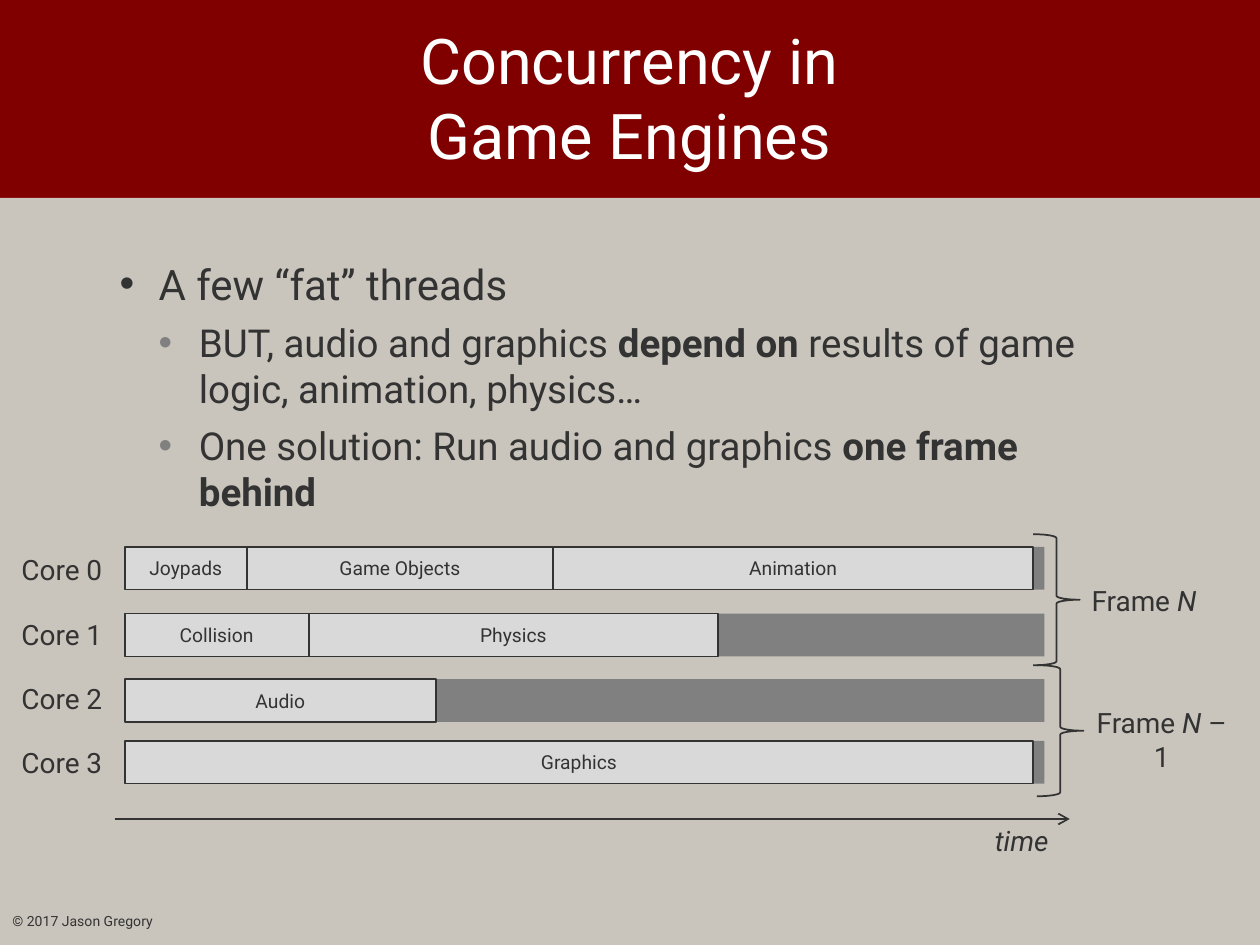
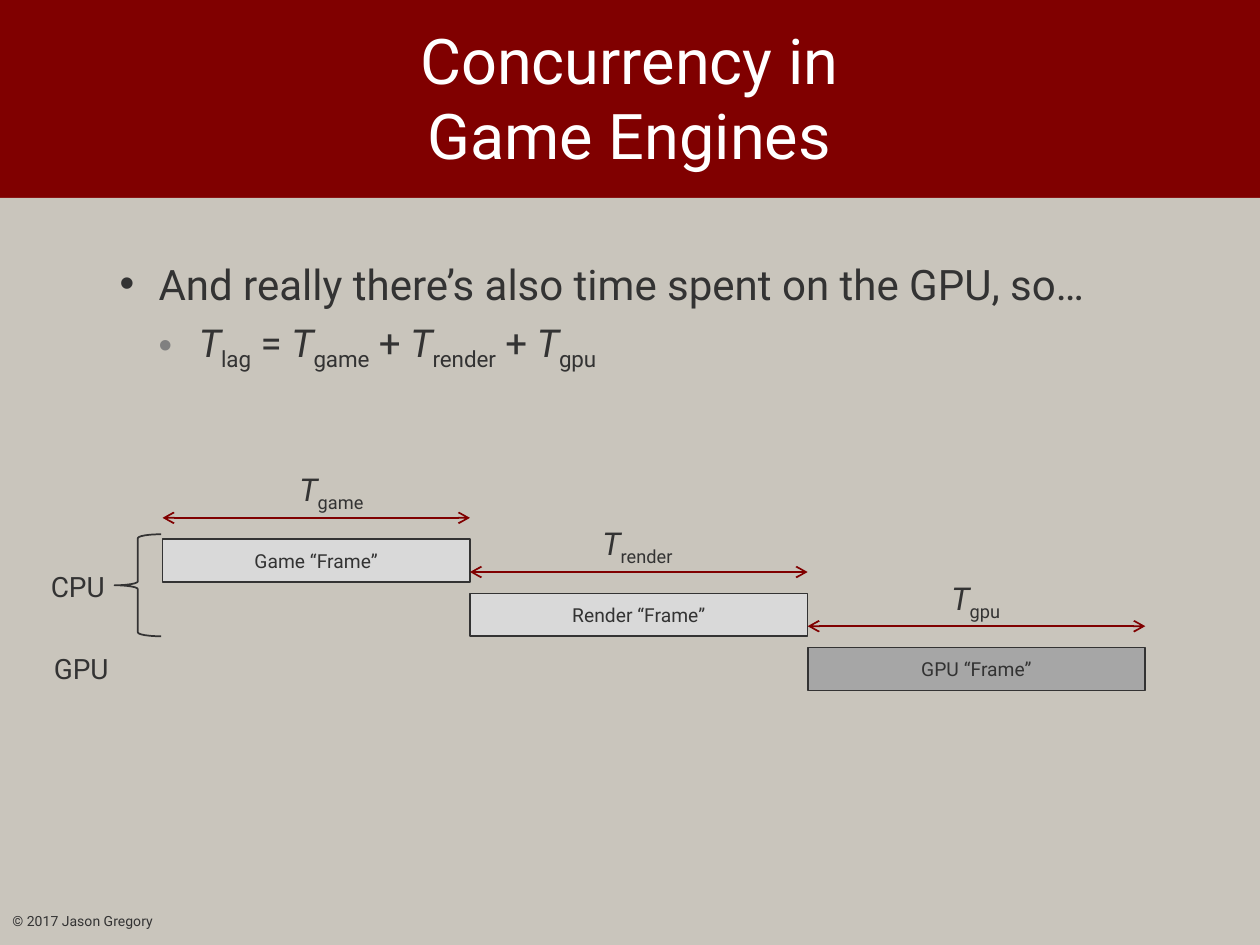
from dataclasses import dataclass
from typing import NamedTuple

from lxml import etree
from pptx import Presentation
from pptx.dml.color import RGBColor
from pptx.enum import shapes, text
from pptx.oxml import ns
from pptx.util import Inches, Pt

MAROON = RGBColor(0x80, 0x00, 0x00)
STONE = RGBColor(0xC9, 0xC5, 0xBC)
INK = RGBColor(0x33, 0x33, 0x33)
WHITE = RGBColor(0xFF, 0xFF, 0xFF)
IDLE_GREY = RGBColor(0x80, 0x80, 0x80)
TASK_GREY = RGBColor(0xD9, 0xD9, 0xD9)
GPU_GREY = RGBColor(0xA6, 0xA6, 0xA6)
FONT = "Roboto"
LEFT, CENTER, RIGHT = text.PP_ALIGN.LEFT, text.PP_ALIGN.CENTER, text.PP_ALIGN.RIGHT
TOP, MIDDLE = text.MSO_ANCHOR.TOP, text.MSO_ANCHOR.MIDDLE
RECTANGLE = shapes.MSO_SHAPE.RECTANGLE
RIGHT_BRACE = shapes.MSO_SHAPE.RIGHT_BRACE
BAR_HEIGHT = 0.34


class Span(NamedTuple):
    words: str
    bold: bool = False
    italic: bool = False
    subscript: bool = False


class Area(NamedTuple):
    left: float
    top: float
    width: float
    height: float


@dataclass(frozen=True)
class Level:
    size: int
    indent: float
    hang: float
    before: int
    bullet: RGBColor


@dataclass(frozen=True)
class Core:
    top: float
    tasks: list[tuple[str, float]]


@dataclass(frozen=True)
class Stage:
    name: str
    width: float
    symbol: str
    symbol_area: Area
    fill: RGBColor


LEVELS = [
    Level(24, 0.31, 0.31, 0, INK),
    Level(22, 0.63, 0.32, 6, IDLE_GREY),
]


def variable(subscript: str) -> list[Span]:
    return [Span("T", italic=True), Span(subscript, subscript=True)]


def style(paragraph, size: int, color: RGBColor) -> None:
    font = paragraph.font
    font.name, font.size = FONT, Pt(size)
    font.color.rgb = color


def add_spans(paragraph, spans: list[Span]) -> None:
    for span in spans:
        for index, line in enumerate(span.words.split("\n")):
            if index:
                paragraph.add_line_break()
            run = paragraph.add_run()
            run.text = line
            if span.bold:
                run.font.bold = True
            if span.italic:
                run.font.italic = True
            if span.subscript:
                run.font._element.set("baseline", "-25000")


def add_text(page, area: Area, spans: list[Span], size: int, align=CENTER,
             anchor=TOP, color: RGBColor = INK, wrap: bool = False) -> None:
    box = page.shapes.add_textbox(*map(Inches, area))
    frame = box.text_frame
    frame.word_wrap = wrap
    frame.vertical_anchor = anchor
    paragraph = frame.paragraphs[0]
    paragraph.alignment = align
    style(paragraph, size, color)
    add_spans(paragraph, spans)


def add_bullet(paragraph, level: Level) -> None:
    properties = paragraph._p.get_or_add_pPr()
    properties.set("marL", str(Inches(level.indent)))
    properties.set("indent", str(-Inches(level.hang)))
    color = etree.SubElement(properties, ns.qn("a:buClr"))
    etree.SubElement(color, ns.qn("a:srgbClr"), val=str(level.bullet))
    etree.SubElement(properties, ns.qn("a:buFont"), typeface="Arial")
    etree.SubElement(properties, ns.qn("a:buChar"), char="•")


def add_body(page, items: list[tuple[int, list[Span]]]) -> None:
    box = page.shapes.add_textbox(*map(Inches, (0.85, 2, 8.29, 4.7)))
    frame = box.text_frame
    frame.word_wrap = True
    for index, (depth, spans) in enumerate(items):
        paragraph = frame.add_paragraph() if index else frame.paragraphs[0]
        level = LEVELS[depth]
        paragraph.level = depth
        add_bullet(paragraph, level)
        if level.before:
            paragraph.space_before = Pt(level.before)
        style(paragraph, level.size, INK)
        add_spans(paragraph, spans)


def add_block(page, area: Area, fill: RGBColor, label: str = "") -> None:
    block = page.shapes.add_shape(RECTANGLE, *map(Inches, area))
    block.shadow.inherit = False
    block.fill.solid()
    block.fill.fore_color.rgb = fill
    if not label:
        block.line.fill.background()
        return
    block.line.color.rgb = INK
    block.line.width = Pt(1)
    frame = block.text_frame
    frame.vertical_anchor = MIDDLE
    paragraph = frame.paragraphs[0]
    paragraph.alignment = CENTER
    style(paragraph, 11, INK)
    add_spans(paragraph, [Span(label)])


def add_brace(page, area: Area, flipped: bool = False) -> None:
    brace = page.shapes.add_shape(RIGHT_BRACE, *map(Inches, area))
    brace.shadow.inherit = False
    brace.fill.background()
    brace.line.color.rgb = INK
    brace.line.width = Pt(1)
    if flipped:
        brace._element.spPr.xfrm.set("flipH", "1")


def add_arrow(page, left: float, right: float, top: float, color: RGBColor,
              both_ends: bool = False) -> None:
    arrow = page.shapes.add_connector(
        shapes.MSO_CONNECTOR.STRAIGHT,
        Inches(left), Inches(top), Inches(right), Inches(top))
    arrow.line.color.rgb = color
    arrow.line.width = Pt(1)
    outline = arrow.line._get_or_add_ln()
    for end in ("a:headEnd", "a:tailEnd") if both_ends else ("a:tailEnd",):
        etree.SubElement(outline, ns.qn(end), type="arrow")
    etree.SubElement(arrow._element.spPr, ns.qn("a:effectLst"))


def add_page(deck):
    page = deck.slides.add_slide(deck.slide_layouts[6])
    page.background.fill.solid()
    page.background.fill.fore_color.rgb = MAROON
    add_block(page, Area(0, 1.57, 10, 5.93), STONE)
    add_text(page, Area(0.85, 0.07, 8.29, 1.4), [Span("Concurrency in\nGame Engines")],
             36, anchor=MIDDLE, color=WHITE, wrap=True)
    add_text(page, Area(0, 7.11, 3.17, 0.39), [Span("© 2017 Jason Gregory")],
             8, LEFT, MIDDLE, wrap=True)
    return page


def build_cores_page(deck) -> None:
    page = add_page(deck)
    add_body(page, [
        (0, [Span("A few “fat” threads")]),
        (1, [Span("BUT, audio and graphics "), Span("depend on ", bold=True),
             Span("results of game logic, animation, physics…")]),
        (1, [Span("One solution: Run audio and graphics "),
             Span("one frame behind", bold=True)]),
    ])
    cores = [
        Core(4.34, [("Joypads", 0.97), ("Game Objects", 2.43), ("Animation", 3.81)]),
        Core(4.87, [("Collision", 1.46), ("Physics", 3.25)]),
        Core(5.39, [("Audio", 2.47)]),
        Core(5.88, [("Graphics", 7.21)]),
    ]
    start = 0.99
    for index, core in enumerate(cores):
        add_text(page, Area(0.07, 4.34 + 0.51 * index, 0.84, 0.37),
                 [Span(f"Core {index}")], 16, RIGHT)
        add_block(page, Area(start, core.top, 7.3, BAR_HEIGHT), IDLE_GREY)
        left = start
        for name, width in core.tasks:
            add_block(page, Area(left, core.top, width, BAR_HEIGHT), TASK_GREY, name)
            left += width

    add_arrow(page, 0.91, 8.49, 6.5, INK)
    add_text(page, Area(7.79, 6.49, 0.63, 0.37), [Span("time", italic=True)], 16, RIGHT)
    add_brace(page, Area(8.2, 4.24, 0.37, 1.04))
    add_brace(page, Area(8.23, 5.28, 0.37, 1.04))
    add_text(page, Area(8.53, 4.58, 1.1, 0.37),
             [Span("Frame "), Span("N", italic=True)], 16)
    add_text(page, Area(8.57, 5.55, 1.3, 0.64),
             [Span("Frame "), Span("N ", italic=True), Span("– 1")], 16, wrap=True)


def build_lag_page(deck) -> None:
    page = add_page(deck)
    add_body(page, [
        (0, [Span("And really there’s also time spent on the GPU, so…")]),
        (1, [*variable("lag"), Span(" = "), *variable("game"), Span(" + "),
             *variable("render"), Span(" + "), *variable("gpu")]),
    ])
    stages = [
        Stage("Game “Frame”", 2.44, "game", Area(2.24, 3.68, 0.78, 0.4), TASK_GREY),
        Stage("Render “Frame”", 2.68, "render", Area(4.65, 4.11, 0.82, 0.4), TASK_GREY),
        Stage("GPU “Frame”", 2.68, "gpu", Area(7.43, 4.55, 0.63, 0.4), GPU_GREY),
    ]
    left = 1.29
    for index, stage in enumerate(stages):
        top = 4.28 + 0.43 * index
        right = left + stage.width
        add_block(page, Area(left, top, stage.width, BAR_HEIGHT), stage.fill, stage.name)
        add_arrow(page, left, right, top - 0.17, MAROON, both_ends=True)
        add_text(page, stage.symbol_area, variable(stage.symbol), 18)
        left = right

    add_brace(page, Area(0.91, 4.24, 0.37, 0.81), flipped=True)
    add_text(page, Area(0.25, 4.47, 0.68, 0.37), [Span("CPU")], 16, RIGHT)
    add_text(page, Area(0.25, 5.12, 0.71, 0.37), [Span("GPU")], 16, RIGHT)


def main() -> None:
    deck = Presentation()
    deck.slide_width, deck.slide_height = Inches(10), Inches(7.5)
    build_cores_page(deck)
    build_lag_page(deck)
    deck.save("out.pptx")


if __name__ == "__main__":
    main()
